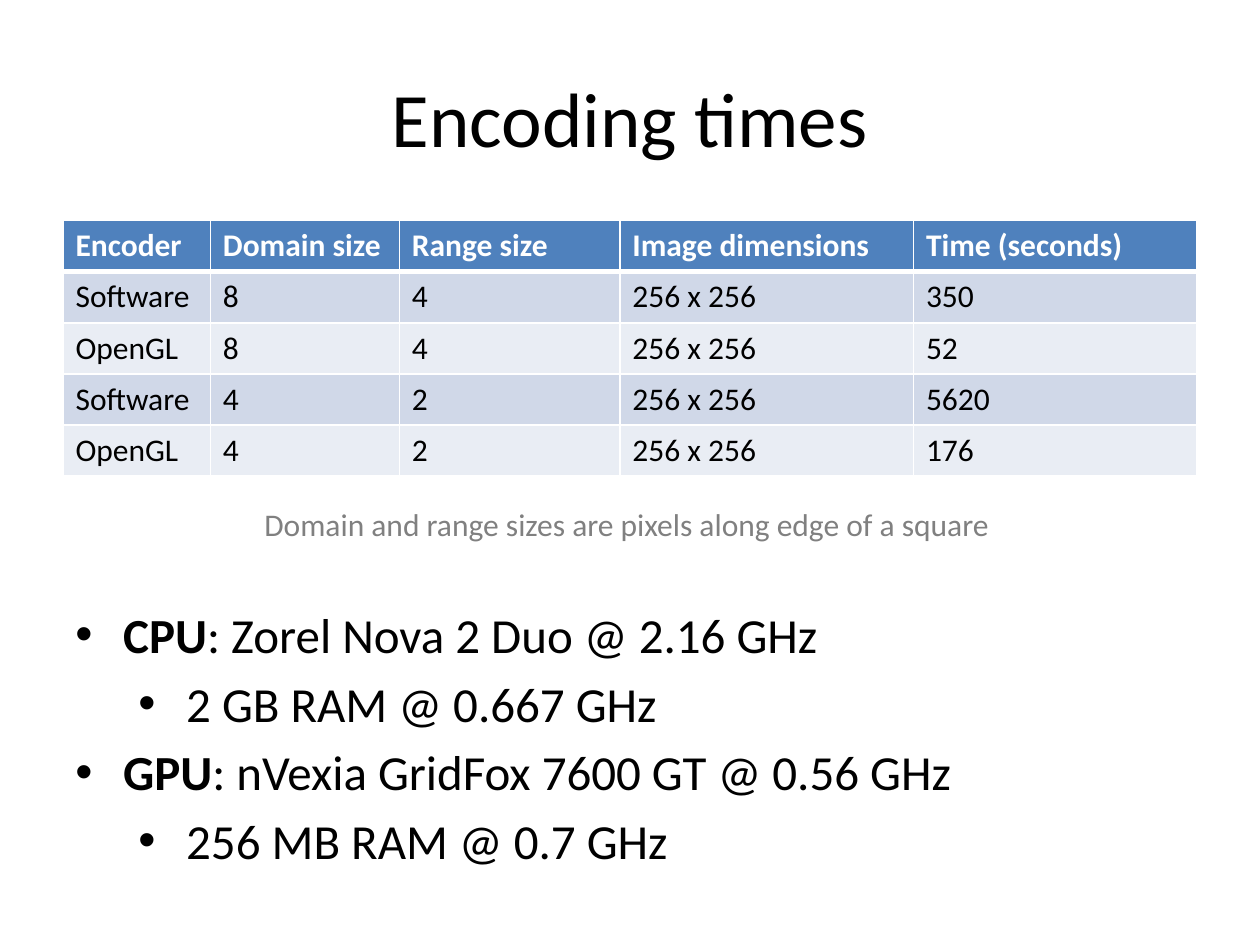
import dataclasses

import pptx
import pptx.dml.color
import pptx.enum.text
import pptx.oxml
import pptx.oxml.ns
import pptx.util

Inches = pptx.util.Inches
Pt = pptx.util.Pt
Align = pptx.enum.text.PP_ALIGN
Anchor = pptx.enum.text.MSO_ANCHOR


@dataclasses.dataclass(frozen=True)
class Theme:
    font: str = "Calibri"
    ink: str = "000000"
    muted: str = "808080"
    white: str = "FFFFFF"
    header: str = "4F81BD"
    bands: tuple = ("D0D8E8", "E9EDF4")
    title: int = 44
    body: int = 28
    small: int = 18


THEME = Theme()

ENCODING_TIMES = [
    ("Encoder", "Domain size", "Range size", "Image dimensions", "Time (seconds)"),
    ("Software", "8", "4", "256 x 256", "350"),
    ("OpenGL", "8", "4", "256 x 256", "52"),
    ("Software", "4", "2", "256 x 256", "5620"),
    ("OpenGL", "4", "2", "256 x 256", "176"),
]
COLUMN_WIDTHS = (1.17, 1.5, 1.75, 2.33, 2.25)

HARDWARE = [
    (0, "CPU", ": Zorel Nova 2 Duo @ 2.16 GHz"),
    (1, "", "2 GB RAM @ 0.667 GHz"),
    (0, "GPU", ": nVexia GridFox 7600 GT @ 0.56 GHz"),
    (1, "", "256 MB RAM @ 0.7 GHz"),
]


def rgb(color):
    return pptx.dml.color.RGBColor.from_string(color)


def add_text(p, text, size=THEME.small, color=THEME.ink, bold=False, align=None):
    r = p.add_run()
    r.text = text
    r.font.name = THEME.font
    r.font.size = Pt(size)
    r.font.color.rgb = rgb(color)
    r.font.bold = bold
    if align is not None:
        p.alignment = align


def add_box(s, left, top, width, height, wrap=True, anchor=Anchor.TOP):
    sp = s.shapes.add_textbox(Inches(left), Inches(top), Inches(width), Inches(height))
    tf = sp.text_frame
    tf.word_wrap = wrap
    tf.vertical_anchor = anchor
    return tf


def set_borders(cell, bottom):
    ns = pptx.oxml.ns.nsdecls("a")
    tcPr = cell._tc.get_or_add_tcPr()
    for i, (side, width) in enumerate((("L", 1), ("R", 1), ("T", 1), ("B", bottom))):
        tcPr.insert(i, pptx.oxml.parse_xml(
            f'<a:ln{side} {ns} w="{Pt(width)}"><a:solidFill>'
            f'<a:srgbClr val="{THEME.white}"/></a:solidFill></a:ln{side}>'))


def add_times_table(s, left, top, width, height):
    rows = len(ENCODING_TIMES)
    table = s.shapes.add_table(
        rows, len(COLUMN_WIDTHS),
        Inches(left), Inches(top), Inches(width), Inches(height)).table
    for column, column_width in zip(table.columns, COLUMN_WIDTHS):
        column.width = Inches(column_width)
    for i, values in enumerate(ENCODING_TIMES):
        head = i == 0
        for j, value in enumerate(values):
            cell = table.cell(i, j)
            cell.fill.solid()
            cell.fill.fore_color.rgb = rgb(THEME.header if head else THEME.bands[(i - 1) % 2])
            set_borders(cell, 3 if head else 1)
            add_text(cell.text_frame.paragraphs[0], value, bold=head,
                     color=THEME.white if head else THEME.ink)
            if i == 1:
                cell._tc.tcPr.find(pptx.oxml.ns.qn("a:lnT")).set("w", str(Pt(3)))


def set_bullet(p, level):
    p.level = level
    p.space_before = Pt(0.2 * THEME.body)
    pPr = p._p.get_or_add_pPr()
    pPr.set("marL", str(Inches(0.38 + 0.5 * level)))
    pPr.set("indent", str(Inches(-0.38)))
    ns = pptx.oxml.ns.nsdecls("a")
    pPr.append(pptx.oxml.parse_xml(f'<a:buFont {ns} typeface="Arial"/>'))
    pPr.append(pptx.oxml.parse_xml(f'<a:buChar {ns} char="•"/>'))


def add_hardware_list(s, left, top, width, height):
    tf = add_box(s, left, top, width, height)
    for i, (level, label, detail) in enumerate(HARDWARE):
        p = tf.add_paragraph() if i else tf.paragraphs[0]
        set_bullet(p, level)
        if label:
            add_text(p, label, size=THEME.body, bold=True)
        add_text(p, detail, size=THEME.body)


def main():
    prs = pptx.Presentation()
    prs.slide_width, prs.slide_height = Inches(10), Inches(7.5)
    s = prs.slides.add_slide(prs.slide_layouts[6])

    title = add_box(s, 0.5, 0.3, 9, 1.25, anchor=Anchor.MIDDLE)
    add_text(title.paragraphs[0], "Encoding times", size=THEME.title, align=Align.CENTER)
    add_times_table(s, 0.5, 1.75, 9, 2.03)
    caption = add_box(s, 2, 3.96, 6.01, 0.4, wrap=False)
    add_text(caption.paragraphs[0],
             "Domain and range sizes are pixels along edge of a square", color=THEME.muted)
    add_hardware_list(s, 0.5, 4.75, 9, 2.5)

    prs.save("out.pptx")


if __name__ == "__main__":
    main()
